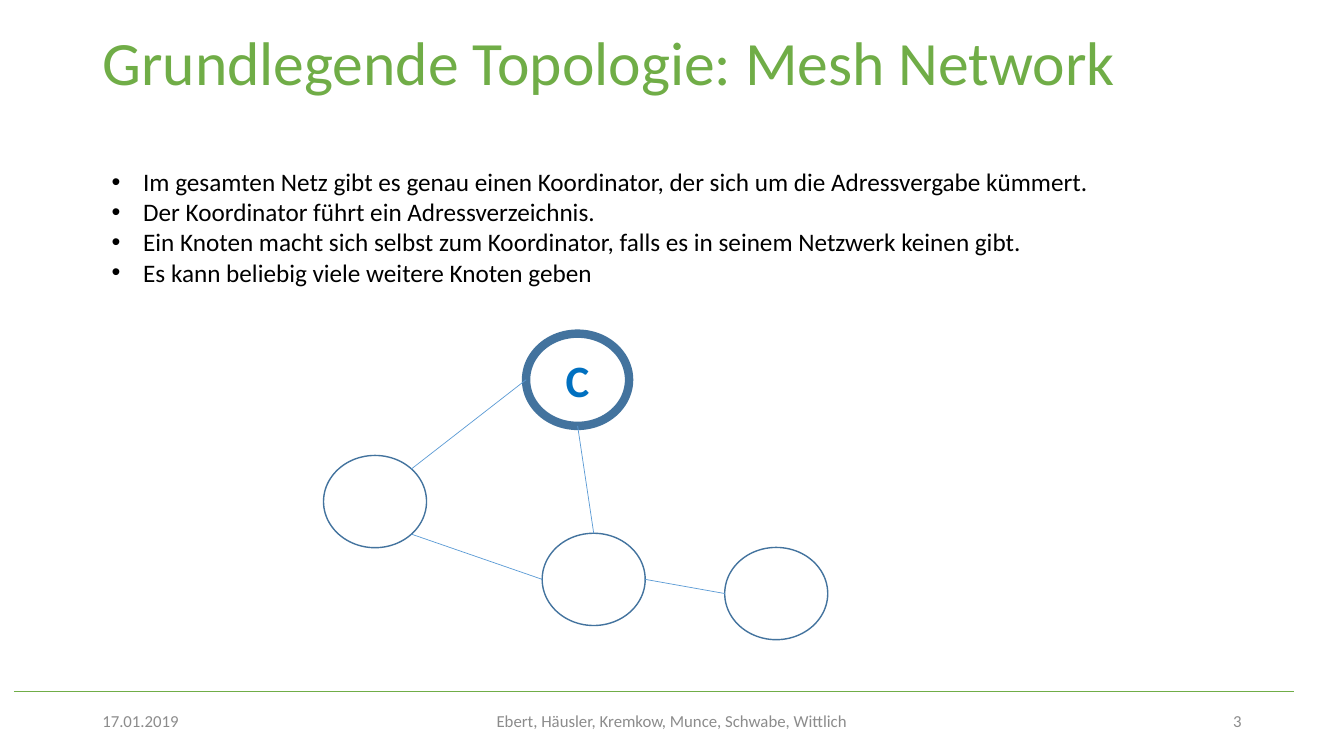
from math import cos, radians, sin

from lxml import etree
from pptx import Presentation
from pptx.dml.color import RGBColor
from pptx.enum.shapes import MSO_CONNECTOR, MSO_SHAPE
from pptx.enum.text import MSO_ANCHOR, PP_ALIGN
from pptx.oxml.ns import qn
from pptx.util import Pt

LEFT, CENTER, RIGHT = PP_ALIGN.LEFT, PP_ALIGN.CENTER, PP_ALIGN.RIGHT
TOP, MIDDLE = MSO_ANCHOR.TOP, MSO_ANCHOR.MIDDLE
STRAIGHT, OVAL = MSO_CONNECTOR.STRAIGHT, MSO_SHAPE.OVAL
TITLE_ONLY = 5
FONT = "Calibri"
COLORS = {
    "green": "70AD47", "ring": "43739E", "link": "5B9BD5", "coordinator": "0070C0",
    "white": "FFFFFF", "black": "000000", "footer": "8C8C8C",
}
RULES = [
    "Im gesamten Netz gibt es genau einen Koordinator, der sich um die Adressvergabe kümmert.",
    "Der Koordinator führt ein Adressverzeichnis.",
    "Ein Knoten macht sich selbst zum Koordinator, falls es in seinem Netzwerk keinen gibt.",
    "Es kann beliebig viele weitere Knoten geben",
]
NODE_SIZE = (73.6, 65.9)
NODES = {"west": (0, 87), "coordinator": (144.7, 0), "south": (156.2, 142.6), "east": (286.6, 152.7)}
LINKS = [
    ("west", -45, "coordinator", 180),
    ("coordinator", 90, "south", -90),
    ("west", 45, "south", 180),
    ("south", 0, "east", 180),
]


def rgb(name):
    """Return the named palette colour."""
    return RGBColor.from_string(COLORS[name])


def write(frame, lines, size=18, color="black", bold=False, align=LEFT, anchor=TOP,
          spacing=None, bullet_indent=0):
    """Fill a text frame with formatted paragraphs."""
    frame.word_wrap = True
    frame.vertical_anchor = anchor
    for index, line in enumerate(lines):
        paragraph = frame.paragraphs[0] if index == 0 else frame.add_paragraph()
        paragraph.alignment = align
        paragraph.line_spacing = spacing
        run = paragraph.add_run()
        run.text = line
        run.font.name, run.font.size, run.font.bold = FONT, Pt(size), bold
        run.font.color.rgb = rgb(color)
        if bullet_indent:
            properties = paragraph._p.get_or_add_pPr()
            properties.set("marL", str(Pt(bullet_indent)))
            properties.set("indent", str(Pt(-bullet_indent)))
            etree.SubElement(properties, qn("a:buFont"), typeface="Arial")
            etree.SubElement(properties, qn("a:buChar"), char="•")


def add_line(slide, start, end, color):
    """Draw a thin straight line between two points."""
    line = slide.shapes.add_connector(STRAIGHT, *(Pt(value) for value in (*start, *end)))
    line.line.color.rgb = rgb(color)
    line.line.width = Pt(0.5)
    etree.SubElement(line._element.spPr, qn("a:effectLst"))


def add_title(slide, left, top, width, height):
    """Place and format the title placeholder."""
    title = slide.shapes.title
    title.left, title.top, title.width, title.height = map(Pt, (left, top, width, height))
    write(title.text_frame, ["Grundlegende Topologie: Mesh Network"],
          size=44, color="green", spacing=0.9)


def add_rules(slide, left, top, width, height):
    """Place the bulleted rules of the network."""
    rules = slide.shapes.add_textbox(*map(Pt, (left, top, width, height)))
    write(rules.text_frame, RULES, bullet_indent=22.5)


def add_mesh(slide, left, top):
    """Draw the mesh nodes and the links between them."""
    width, height = NODE_SIZE
    for name, (x, y) in NODES.items():
        is_coordinator = name == "coordinator"
        node = slide.shapes.add_shape(OVAL, *map(Pt, (left + x, top + y, width, height)))
        node.shadow.inherit = False
        node.fill.solid()
        node.fill.fore_color.rgb = rgb("white")
        node.line.color.rgb = rgb("ring")
        node.line.width = Pt(6 if is_coordinator else 1)
        if is_coordinator:
            write(node.text_frame, ["C"], size=32, color="coordinator", bold=True,
                  align=CENTER, anchor=MIDDLE)

    def port(name, angle):
        """Return the point on a node's rim at an angle."""
        x, y = NODES[name]
        return (left + x + width / 2 * (1 + cos(radians(angle))),
                top + y + height / 2 * (1 + sin(radians(angle))))

    for source, source_angle, target, target_angle in LINKS:
        add_line(slide, port(source, source_angle), port(target, target_angle), "link")


def add_footer(slide, left, top, width, height):
    """Place the date, authors and page number below the rule."""
    side, middle = 216, 324
    entries = [
        ("17.01.2019", 0, side, LEFT),
        ("Ebert, Häusler, Kremkow, Munce, Schwabe, Wittlich", (width - middle) / 2, middle, CENTER),
        ("3", width - side, side, RIGHT),
    ]
    for text, offset, entry_width, align in entries:
        entry = slide.shapes.add_textbox(*map(Pt, (left + offset, top, entry_width, height)))
        write(entry.text_frame, [text], size=12, color="footer", align=align, anchor=MIDDLE)


def main():
    """Build and save the slide."""
    deck = Presentation()
    deck.slide_width, deck.slide_height = Pt(960), Pt(540)
    slide = deck.slides.add_slide(deck.slide_layouts[TITLE_ONLY])
    add_line(slide, (10, 494), (924.5, 494), "green")
    add_title(slide, 66, 19.5, 828, 104.4)
    add_mesh(slide, 231.1, 238.3)
    add_rules(slide, 72.7, 115.2, 720, 94.3)
    add_footer(slide, 66, 500.5, 828, 28.8)
    deck.save("out.pptx")


if __name__ == "__main__":
    main()
